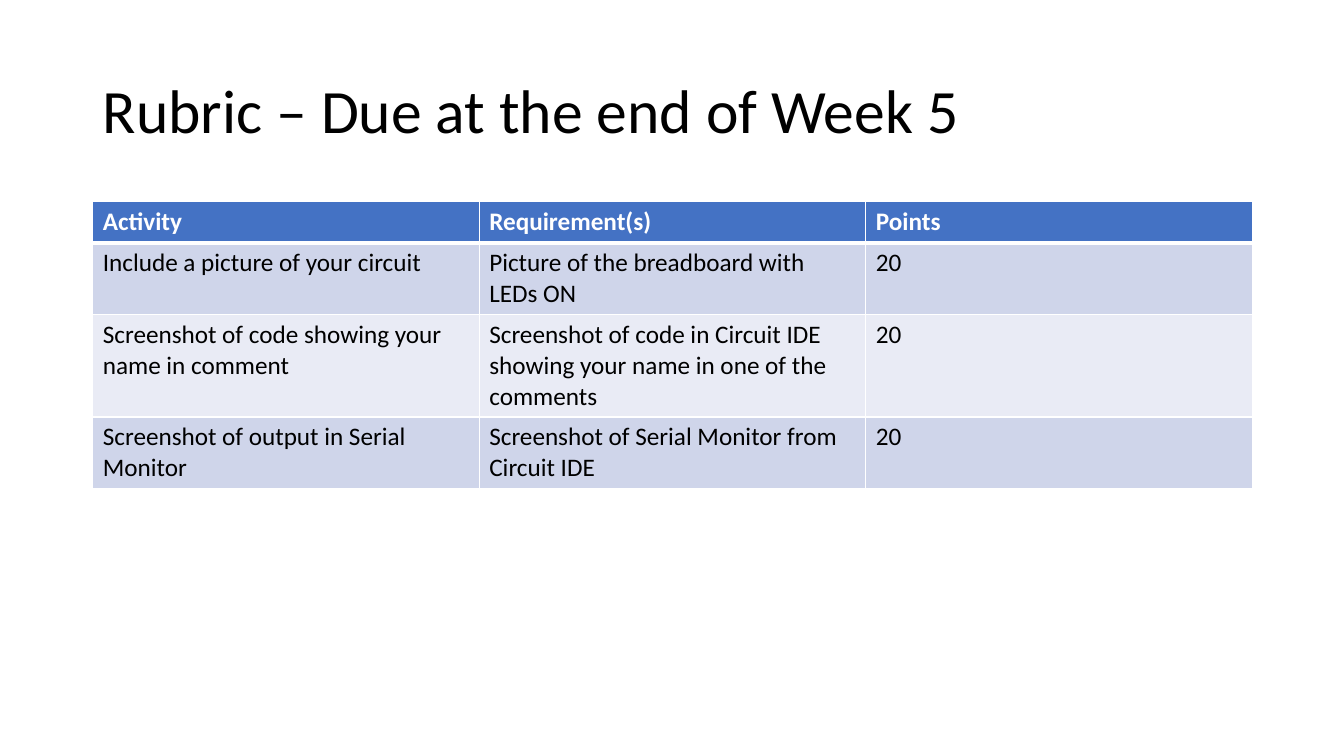
from lxml.etree import SubElement
from pptx import Presentation
from pptx.dml.color import RGBColor
from pptx.enum.text import MSO_ANCHOR, PP_ALIGN
from pptx.oxml.ns import qn
from pptx.util import Inches, Pt

FONT = "Calibri"
BLACK, WHITE, BLUE = "000000", "FFFFFF", "4472C4"
BANDS = ("CFD5EA", "E9EBF5")
ROW_HEIGHT = 0.41
RUBRIC = [
    ("Activity", "Requirement(s)", "Points"),
    ("Include a picture of your circuit", "Picture of the breadboard with LEDs ON", "20"),
    (
        "Screenshot of code showing your name in comment",
        "Screenshot of code in Circuit IDE showing your name in one of the comments",
        "20",
    ),
    ("Screenshot of output in Serial Monitor", "Screenshot of Serial Monitor from Circuit IDE", "20"),
]


def color(value):
    return RGBColor.from_string(value)


def format_text(paragraph, size, text_color, bold=False):
    for run in paragraph.runs:
        run.font.name = FONT
        run.font.size = Pt(size)
        run.font.bold = bold
        run.font.color.rgb = color(text_color)


def add_border(cell, side, width):
    properties = cell._tc.get_or_add_tcPr()
    line = SubElement(properties, qn(f"a:ln{side}"), w=str(Pt(width)))
    fill = SubElement(line, qn("a:solidFill"))
    SubElement(fill, qn("a:srgbClr"), val=WHITE)


def place_title(slide, left, top, width, height):
    title = slide.shapes.title
    title.left, title.top = Inches(left), Inches(top)
    title.width, title.height = Inches(width), Inches(height)
    title.text_frame.text = "Rubric – Due at the end of Week 5"
    title.text_frame.vertical_anchor = MSO_ANCHOR.MIDDLE
    paragraph = title.text_frame.paragraphs[0]
    paragraph.alignment = PP_ALIGN.LEFT
    paragraph.line_spacing = 0.9
    format_text(paragraph, 44, BLACK)


def fill_cell(cell, text, row_index):
    header = row_index == 0
    cell.text_frame.text = text
    format_text(cell.text_frame.paragraphs[0], 18, WHITE if header else BLACK, header)
    add_border(cell, "L", 1)
    add_border(cell, "R", 1)
    add_border(cell, "T", 3 if row_index == 1 else 1)
    add_border(cell, "B", 3 if header else 1)
    cell.fill.solid()
    cell.fill.fore_color.rgb = color(BLUE if header else BANDS[(row_index - 1) % 2])


def place_rubric(slide, left, top, width, height):
    frame = slide.shapes.add_table(
        len(RUBRIC), len(RUBRIC[0]), Inches(left), Inches(top), Inches(width), Inches(height)
    )
    for row_index, texts in enumerate(RUBRIC):
        frame.table.rows[row_index].height = Inches(ROW_HEIGHT)
        for column_index, text in enumerate(texts):
            fill_cell(frame.table.cell(row_index, column_index), text, row_index)
    frame.height = Inches(height)


def main():
    presentation = Presentation()
    presentation.slide_width = Inches(13.33)
    presentation.slide_height = Inches(7.5)
    slide = presentation.slides.add_slide(presentation.slide_layouts[5])
    place_title(slide, 0.92, 0.4, 11.5, 1.45)
    place_rubric(slide, 0.92, 2, 11.5, 2.81)
    presentation.save("out.pptx")


if __name__ == "__main__":
    main()
